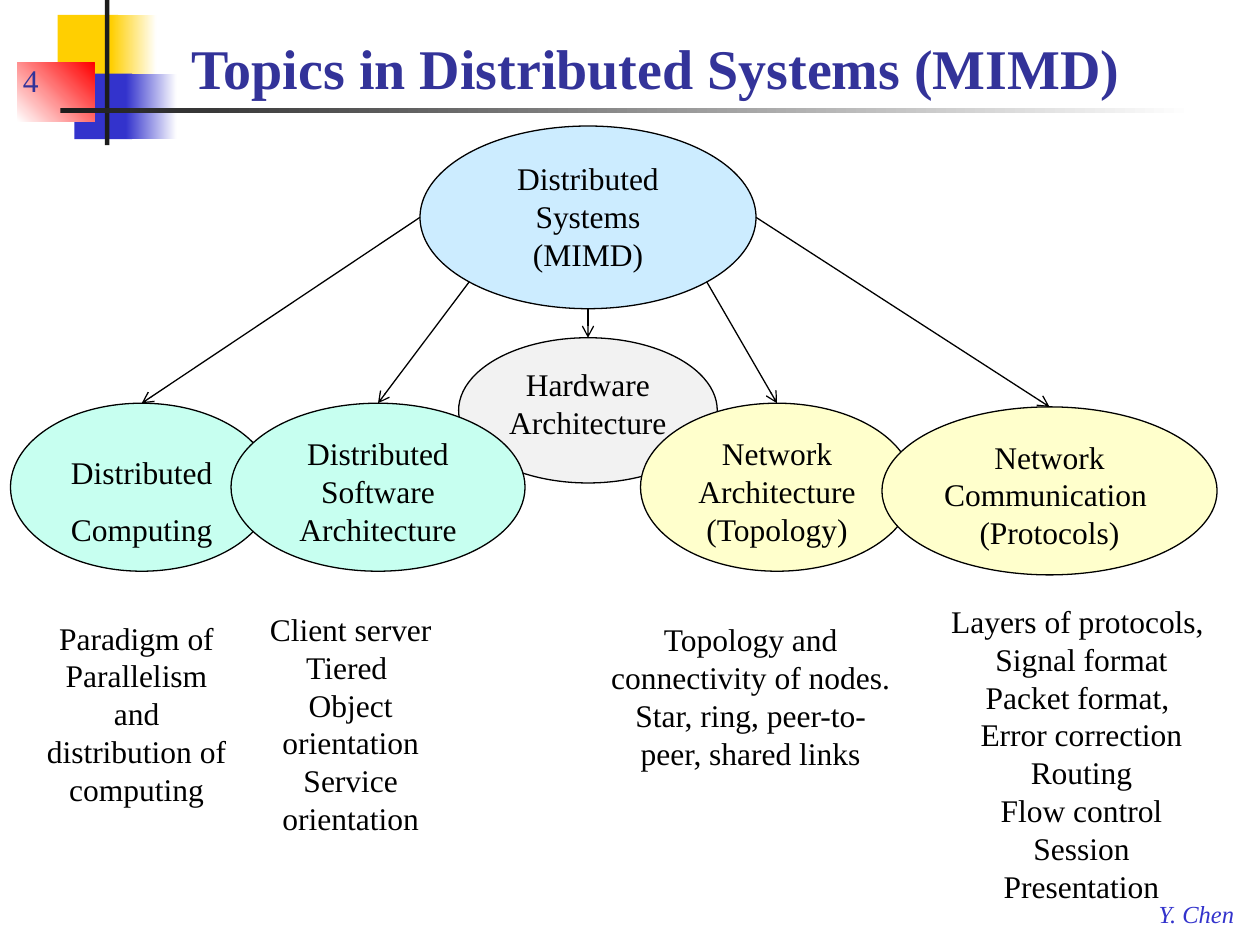
import math

import pptx
import pptx.dml.color
import pptx.enum.shapes
import pptx.enum.text
import pptx.oxml
import pptx.oxml.ns
import pptx.util

Pt = pptx.util.Pt
SHAPE = pptx.enum.shapes.MSO_SHAPE
ALIGN = pptx.enum.text.PP_ALIGN
ANCHOR = pptx.enum.text.MSO_ANCHOR

COLORS = {
    "gold": "FFCF01", "blue": "3333CC", "red": "FF0000", "white": "FFFFFF",
    "dark": "1C1C1C", "title": "333399", "black": "000000", "sky": "CCECFF",
    "gray": "F2F2F2", "mint": "C7FFF0", "cream": "FFFFCC",
}

# Decoration: box, fill colours (two make a gradient), gradient angle
DECOR = [
    ((33, 8.5, 34.5, 37.5), ["gold"], 0),
    ((63.5, 8.5, 26, 37.5), ["gold", "white"], 0),
    ((42.5, 42, 33, 37.5), ["blue"], 0),
    ((72, 42, 29, 37.5), ["blue", "white"], 0),
    ((10, 36, 44, 33.5), ["white", "red"], 45),
    ((60, 0, 2.5, 83), ["dark"], 0),
    ((34.5, 62, 648, 2.5), ["dark", "white"], 0),
]

TITLE = "Topics in Distributed Systems (MIMD)"
ROOT = ("Distributed Systems\n(MIMD)", (240, 72, 192, 104.4), "sky", 1)

# Topics from back to front: text, box, fill, line spacing, angle where the arrow leaves the root
TOPICS = [
    ("Hardware Architecture", (262.1, 193, 147.8, 83), "gray", 1, 90),
    ("Network Architecture (Topology)", (366, 230.4, 156, 96), "cream", 1, 45),
    ("Network Communication \v(Protocols)", (504, 232.5, 191.5, 96), "cream", 1, 0),
    ("Distributed Computing", (6, 230.4, 150, 96), "mint", 1.5, 180),
    ("Distributed Software Architecture", (132, 230.4, 168, 96), "mint", 1, 135),
]

CAPTIONS = [
    (["Paradigm of", "Parallelism and distribution of computing"], (18, 350, 120, 116.5)),
    (["Client server", "Tiered ", "Object orientation", "Service orientation"],
     (136.8, 345, 127.2, 138)),
    (["Topology and connectivity of nodes. Star, ring, peer-to-peer, shared links"],
     (342, 351, 174, 94.5)),
    (["Layers of protocols, ", "Signal format", "Packet format, ", "Error correction",
      "Routing", "Flow control", "Session", "Presentation"], (534, 340.5, 168, 181.5)),
]


def rgb(name):
    return pptx.dml.color.RGBColor.from_string(COLORS[name])


def write(sp, text, color="black", align=ALIGN.CENTER, anchor=ANCHOR.TOP,
          wrap=True, spacing=1, **font):
    tf = sp.text_frame
    tf.text = text
    tf.word_wrap, tf.vertical_anchor = wrap, anchor
    look = {"name": "Times New Roman", "size": Pt(18), **font}
    for p in tf.paragraphs:
        p.alignment, p.line_spacing = align, spacing
        for r in p.runs:
            r.font.color.rgb = rgb(color)
            for key, value in look.items():
                setattr(r.font, key, value)


def add_filled(kind, box, fills, angle=0):
    sp = slide.shapes.add_shape(kind, *map(Pt, box))
    sp.shadow.inherit = False
    if len(fills) == 1:
        sp.fill.solid()
        sp.fill.fore_color.rgb = rgb(fills[0])
    else:
        sp.fill.gradient()
        sp.fill.gradient_angle = angle
        for stop, name in zip(sp.fill.gradient_stops, fills):
            stop.color.rgb = rgb(name)
    sp.line.fill.background()
    return sp


def add_ellipse(text, box, fill, spacing):
    sp = add_filled(SHAPE.OVAL, box, [fill])
    sp.line.color.rgb = rgb("black")
    sp.line.width = Pt(0.75)
    write(sp, text, spacing=spacing)
    return sp


def add_text(text, box, **style):
    write(slide.shapes.add_textbox(*map(Pt, box)), text, **style)


def add_arrow(angle, target):
    # Start on the root ellipse's outline, end at the top of the target
    left, top, width, height = ROOT[1]
    turn = math.radians(angle)
    x = Pt(left + width / 2 * (1 + math.cos(turn)))
    y = Pt(top + height / 2 * (1 + math.sin(turn)))
    line = slide.shapes.add_connector(pptx.enum.shapes.MSO_CONNECTOR.STRAIGHT, x, y, x, y)
    line.end_connect(target, 0)
    line.line.color.rgb = rgb("black")
    line.line.width = Pt(0.75)
    ln = line.line._get_or_add_ln()
    ln.append(pptx.oxml.parse_xml(
        f'<a:tailEnd {pptx.oxml.ns.nsdecls("a")} type="arrow"/>'))
    line._element.spPr.append(pptx.oxml.parse_xml(
        f'<a:effectLst {pptx.oxml.ns.nsdecls("a")}/>'))


prs = pptx.Presentation()
prs.slide_width, prs.slide_height = Pt(720), Pt(540)
slide = prs.slides.add_slide(prs.slide_layouts[5])

# Corner decoration and footer name
for box, fills, angle in DECOR:
    add_filled(SHAPE.RECTANGLE, box, fills, angle)
add_text("Y. Chen", (655, 510, 59, 24), color="blue", align=ALIGN.LEFT,
         wrap=False, size=Pt(14), italic=True)

# Title and slide number
title = slide.shapes.title
title.left, title.top, title.width, title.height = map(Pt, (36, 12, 678, 49))
write(title, TITLE, color="title", anchor=ANCHOR.BOTTOM, size=Pt(32), bold=True)
add_text("4", (6, 24, 150, 36), color="title", align=ALIGN.LEFT, anchor=ANCHOR.BOTTOM)

# Topic tree
add_ellipse(*ROOT)
for *topic, angle in TOPICS:
    add_arrow(angle, add_ellipse(*topic))

# Captions under the topics
for lines, box in CAPTIONS:
    add_text("\n".join(lines), box)

prs.save("out.pptx")
